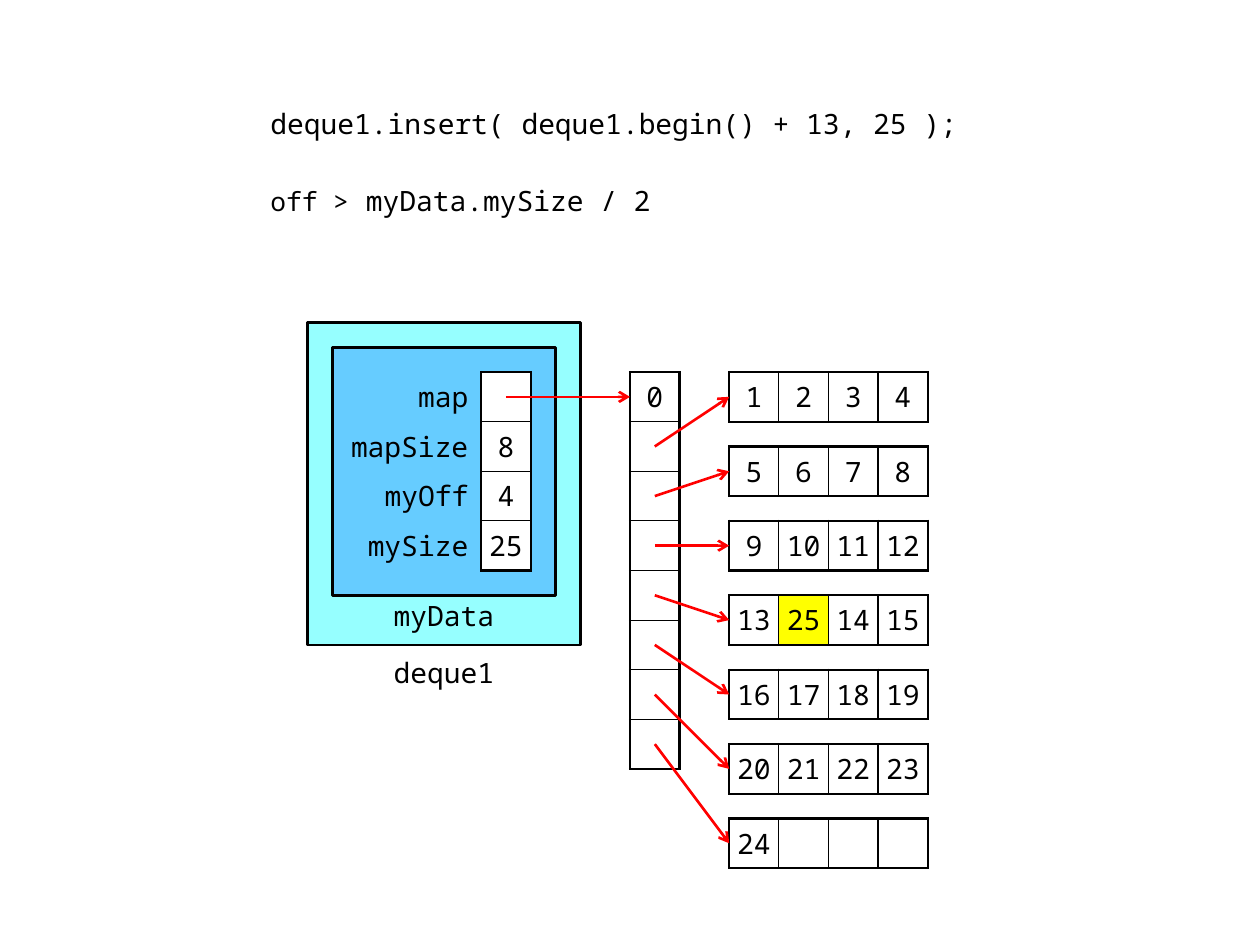
import pptx
import pptx.dml.color
import pptx.enum.shapes
import pptx.enum.text
import pptx.oxml.ns
import pptx.util
from lxml import etree

SCALE = 7200  # EMU per px, so that a 50 px cell is one centimetre
CELL = 50
BLOCK_STEP = 75
FONT = "Noto Sans Mono"
BLACK, WHITE, RED, YELLOW = "000000", "FFFFFF", "FF0000", "FFFF00"
AQUA, BLUE = "96FFFF", "66CCFF"
THICK, THIN = 1.5, 0.75
ALIGN = pptx.enum.text.PP_ALIGN
ANCHOR = pptx.enum.text.MSO_ANCHOR


def px(length):
    return pptx.util.Emu(length * SCALE)


def color(hex_string):
    return pptx.dml.color.RGBColor.from_string(hex_string)


def add_element(parent, tag, **attributes):
    return etree.SubElement(parent, pptx.oxml.ns.qn(tag), attributes)


def format_run(run, size=16):
    run.font.name = FONT
    run.font.size = pptx.util.Pt(size)
    run.font.color.rgb = color(BLACK)


def set_margins(target, horizontal, top, bottom):
    target.margin_left = target.margin_right = px(horizontal)
    target.margin_top, target.margin_bottom = px(top), px(bottom)


def add_label(slide, text, box, anchor, top_margin):
    text_frame = slide.shapes.add_textbox(*map(px, box)).text_frame
    text_frame.word_wrap = True
    text_frame.vertical_anchor = anchor
    set_margins(text_frame, 10, top_margin, 0)
    text_frame.text = text
    paragraph = text_frame.paragraphs[0]
    paragraph.alignment = ALIGN.CENTER
    format_run(paragraph.runs[0])


def add_panel(slide, box, fill):
    shape = slide.shapes.add_shape(
        pptx.enum.shapes.MSO_SHAPE.FLOWCHART_PROCESS, *map(px, box))
    shape.shadow.inherit = False
    shape.fill.solid()
    shape.fill.fore_color.rgb = color(fill)
    shape.line.color.rgb = color(BLACK)
    shape.line.width = pptx.util.Pt(THICK)


def add_arrow(slide, start, end):
    arrow = slide.shapes.add_connector(
        pptx.enum.shapes.MSO_CONNECTOR.STRAIGHT, *map(px, start + end))
    arrow.line.color.rgb = color(RED)
    arrow.line.width = pptx.util.Pt(THICK)
    add_element(arrow.line._get_or_add_ln(), "a:tailEnd", type="arrow")
    add_element(arrow._element.spPr, "a:effectLst")


def add_plain_table(slide, left, top, column_widths, row_count):
    table = slide.shapes.add_table(
        row_count, len(column_widths), px(left), px(top),
        px(sum(column_widths)), px(row_count * CELL)).table
    table.first_row = table.horz_banding = False
    for column, width in zip(table.columns, column_widths):
        column.width = px(width)
    for row in table.rows:
        row.height = px(CELL)
    return table


def style_cell(cell, text, borders, fill=None, margin=5, align=ALIGN.CENTER):
    """Borders are widths in points for left, right, top, bottom; 0 is none."""
    set_margins(cell, margin, 5, 5)
    cell.vertical_anchor = ANCHOR.MIDDLE
    cell.text = text
    paragraph = cell.text_frame.paragraphs[0]
    paragraph.alignment = align
    for run in paragraph.runs:
        format_run(run)
    properties = cell._tc.get_or_add_tcPr()
    for side, width in zip("LRTB", borders):
        line = add_element(properties, f"a:ln{side}", w=str(pptx.util.Pt(width)))
        if width:
            line_fill = add_element(line, "a:solidFill")
            add_element(line_fill, "a:srgbClr", val=BLACK)
        else:
            add_element(line, "a:noFill")
    if fill:
        cell.fill.solid()
        cell.fill.fore_color.rgb = color(fill)
    else:
        cell.fill.background()


def edge_widths(index, count):
    """Thick at both ends of a run of cells, thin between them."""
    return (THICK if index == 0 else THIN,
            THICK if index == count - 1 else THIN)


def add_code(slide, left, top, width, height):
    box = slide.shapes.add_textbox(*map(px, (left, top, width, height)))
    text_frame = box.text_frame
    text_frame.word_wrap = True
    text_frame.vertical_anchor = ANCHOR.MIDDLE
    lines = [
        ([("deque1.insert( deque1.begin() + 13, 25 );", 16)], 3),
        ([("off >", 15), (" myData.mySize / 2", 16)], 25),
    ]
    for index, (parts, space_before) in enumerate(lines):
        paragraph = text_frame.add_paragraph() if index else text_frame.paragraphs[0]
        paragraph.space_before = pptx.util.Pt(space_before)
        paragraph.line_spacing = pptx.util.Pt(19)
        for text, size in parts:
            run = paragraph.add_run()
            run.text = text
            format_run(run, size)


def add_deque(slide, left, top):
    # Nested panels and their names
    add_panel(slide, (left, top, 275, 325), AQUA)
    add_panel(slide, (left + 25, top + 25, 225, 250), BLUE)
    add_label(slide, "deque1", (left + 50, top + 325, 175, CELL), ANCHOR.MIDDLE, 5)
    add_label(slide, "myData", (left + 75, top + 275, 125, CELL), ANCHOR.TOP, 3)
    # Members and their values
    members = [("map", ""), ("mapSize", "8"), ("myOff", "4"), ("mySize", "25")]
    table = add_plain_table(slide, left + 25, top + 50, [150, CELL], len(members))
    for row, (name, value) in enumerate(members):
        style_cell(table.cell(row, 0), name, (0, THICK, 0, 0),
                   margin=13, align=ALIGN.RIGHT)
        style_cell(table.cell(row, 1), value,
                   (THICK, THICK) + edge_widths(row, len(members)), WHITE, margin=0)


def add_map(slide, left, top):
    slots = ["0"] + [""] * 7
    table = add_plain_table(slide, left, top, [CELL], len(slots))
    for row, text in enumerate(slots):
        style_cell(table.cell(row, 0), text,
                   (THICK, THICK) + edge_widths(row, len(slots)))


def add_blocks(slide, left, top, block_size=4):
    values = [*range(1, 14), 25, *range(14, 25)]
    starts = range(0, len(values), block_size)
    for block, start in enumerate(starts):
        table = add_plain_table(slide, left, top + block * BLOCK_STEP,
                                [CELL] * block_size, 1)
        for column in range(block_size):
            index = start + column
            value = values[index] if index < len(values) else ""
            style_cell(table.cell(0, column), str(value),
                       edge_widths(column, block_size) + (THICK, THICK),
                       YELLOW if value == 25 else WHITE)
    return len(starts)


def main():
    presentation = pptx.Presentation()
    presentation.slide_width = pptx.util.Inches(10)
    presentation.slide_height = pptx.util.Inches(7.5)
    slide = presentation.slides.add_slide(presentation.slide_layouts[6])

    add_code(slide, 260, 101, 750, 125)
    top, map_left, blocks_left = 375, 635, 735
    add_deque(slide, 310, top - 50)
    add_map(slide, map_left, top)
    block_count = add_blocks(slide, blocks_left, top)

    # Pointers: member to map, then each map slot to its block
    middle = top + CELL // 2
    add_arrow(slide, (510, middle), (map_left, middle))
    for block in range(block_count):
        add_arrow(slide, (map_left + CELL // 2, middle + (block + 1) * CELL),
                  (blocks_left, middle + block * BLOCK_STEP))
    presentation.save("out.pptx")


if __name__ == "__main__":
    main()
